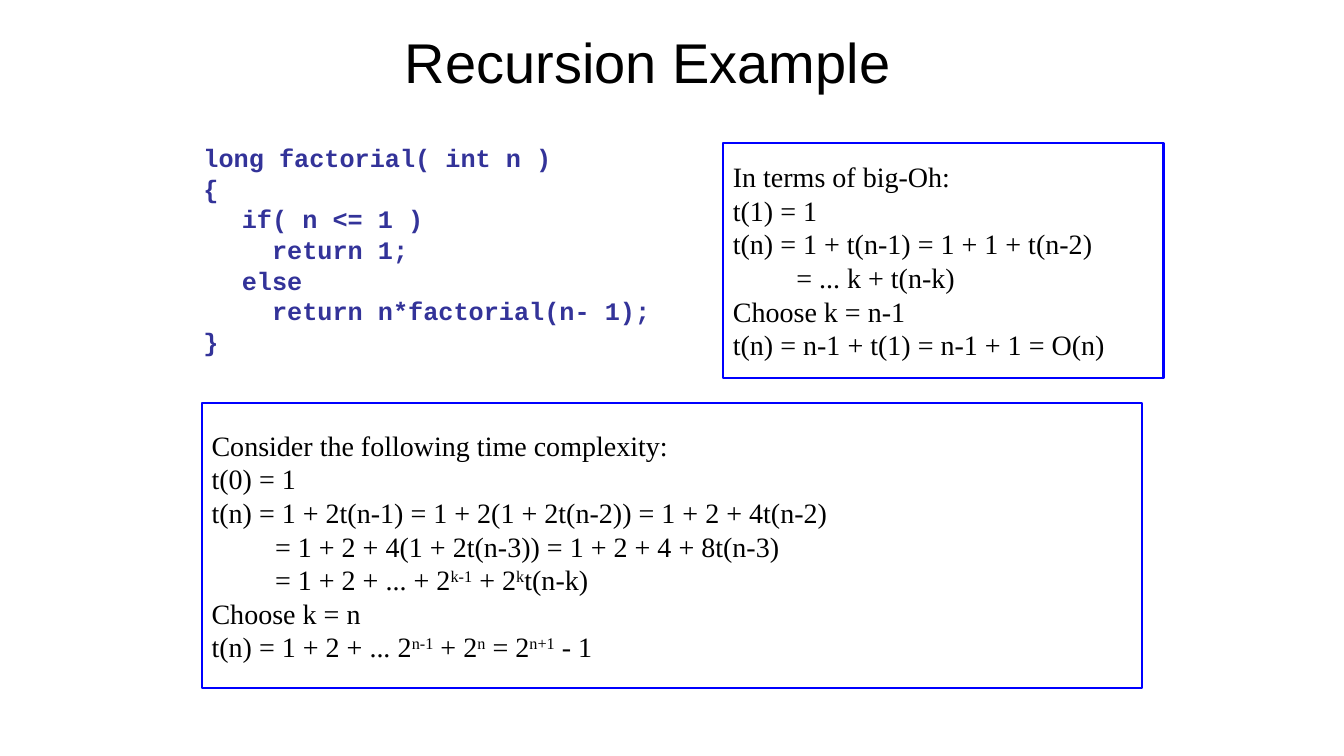
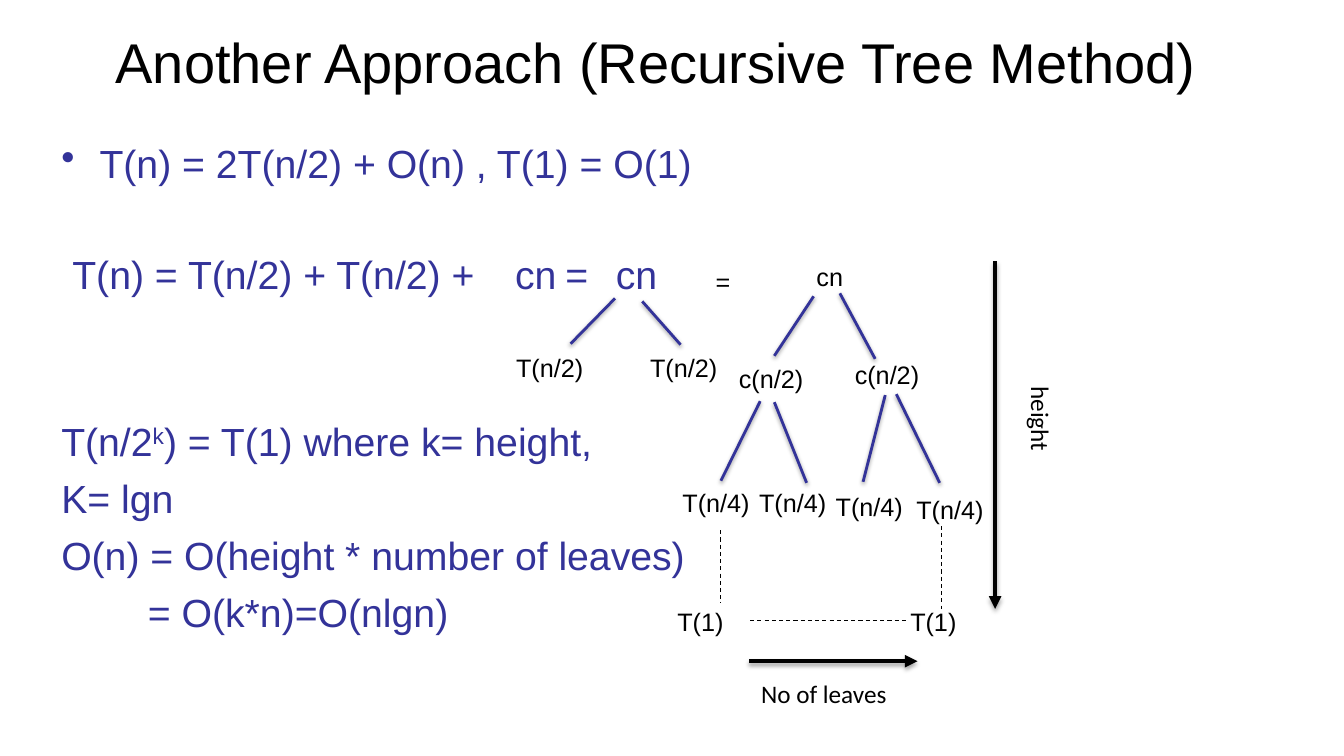
from dataclasses import dataclass

from lxml import etree
from pptx import Presentation
from pptx.dml.color import RGBColor
from pptx.enum import dml, shapes, text
from pptx.oxml import ns
from pptx.util import Inches, Pt

COLORS = {"ink": "000000", "indigo": "333399", "frame": "0000FF", "paper": "FFFFFF"}


@dataclass
class Style:
    """Type settings for a block of text."""
    font: str
    size: float
    color: str = "ink"
    bold: bool = False


@dataclass
class Line:
    """A paragraph: superscripts stand between carets."""
    text: str
    left: float = 0
    first: float = 0
    before: float = None
    bullet: str = None
    tabs: tuple = ()


TITLE = Style("Arial", 40)
CODE = Style("Courier New", 18, "indigo", True)
PROOF = Style("Times New Roman", 20)
BODY = Style("Arial", 28, "indigo")
NODE = Style("Arial", 18)
CAPTION = Style("Calibri", 18)

FACTORIAL = [
    Line("long factorial( int n )"),
    Line("{"),
    Line("if( n <= 1 )", 0.38),
    Line("  return 1;", 0.38),
    Line("else", 0.38),
    Line("  return n*factorial(n- 1);", 0.38),
    Line("}"),
]
LINEAR_PROOF = [
    Line("In terms of big-Oh:"),
    Line("t(1) = 1"),
    Line("t(n) = 1 + t(n-1) = 1 + 1 + t(n-2)"),
    Line("= ... k + t(n-k)", 0.63),
    Line("Choose k = n-1"),
    Line("t(n) = n-1 + t(1) = n-1 + 1 = O(n)"),
]
EXPONENTIAL_PROOF = [
    Line("Consider the following time complexity:"),
    Line("t(0) = 1"),
    Line("t(n) = 1 + 2t(n-1) = 1 + 2(1 + 2t(n-2)) = 1 + 2 + 4t(n-2)"),
    Line("= 1 + 2 + 4(1 + 2t(n-3)) = 1 + 2 + 4 + 8t(n-3)", 0.63),
    Line("= 1 + 2 + ... + 2^k-1^ + 2^k^t(n-k)", 0.63),
    Line("Choose k = n"),
    Line("t(n) = 1 + 2 + ... 2^n-1^ + 2^n^ = 2^n+1^ - 1"),
]
RECURRENCE = [
    Line("T(n) = 2T(n/2) + O(n) , T(1) = O(1)", 0.38, -0.38, bullet="•"),
    Line("T(n) = T(n/2) + T(n/2) +\tcn\t=\tcn", first=0.11, before=45.7,
         tabs=(4.31, 4.91, 5.47)),
    Line("T(n/2^k^) = T(1) where k= height,", before=85.7),
    Line("K= lgn"),
    Line("O(n) = O(height * number of leaves)"),
    Line("= O(k*n)=O(nlgn)", 0.86),
]

NODES = [
    ("T(n/2)", 0.02, 0.95), ("T(n/2)", 1.35, 0.95),
    ("=", 2, 0.09), ("cn", 3, 0.04),
    ("c(n/2)", 2.23, 1.06), ("c(n/2)", 3.38, 1.02),
    ("T(n/4)", 1.67, 2.29), ("T(n/4)", 2.43, 2.29),
    ("T(n/4)", 3.19, 2.33), ("T(n/4)", 3.99, 2.35),
    ("T(1)", 1.62, 3.47), ("T(1)", 3.93, 3.47),
]
BRANCHES = [
    (1.1, 0.46, 0.66, 0.91), (1.37, 0.49, 1.75, 0.92),
    (3.07, 0.44, 2.68, 1.03), (3.33, 0.41, 3.68, 1.06),
    (2.54, 1.48, 2.15, 2.27), (2.68, 1.49, 3, 2.29),
    (3.78, 1.42, 3.56, 2.28), (3.89, 1.41, 4.32, 2.29),
]
ELLIPSES = [(2.15, 2.76, 2.15, 3.48), (4.34, 2.72, 4.34, 3.54), (2.44, 3.66, 3.99, 3.66)]
ARROWS = [(4.87, 0.09, 4.87, 3.54), (2.43, 4.06, 4.1, 4.06)]
CAPTIONS = [("height", 4.69, 1.67, 1.27, 90), ("No of leaves", 2.45, 4.18, 1.62, 0)]


def rgb(name):
    """Return a named colour."""
    return RGBColor.from_string(COLORS[name])


def child(parent, tag, **attributes):
    """Append a drawing element to a parent."""
    element = etree.SubElement(parent, ns.qn(f"a:{tag}"))
    for name, value in attributes.items():
        element.set(name, str(value))
    return element


def format_paragraph(paragraph, line):
    """Set the indents, bullet and tab stops of a paragraph."""
    properties = paragraph._p.get_or_add_pPr()
    properties.set("marL", str(Inches(line.left)))
    properties.set("indent", str(Inches(line.first)))
    if line.bullet:
        child(properties, "buChar", char=line.bullet)
    if line.tabs:
        stops = child(properties, "tabLst")
        for position in line.tabs:
            child(stops, "tab", pos=Inches(position), algn="l")


def write(frame, lines, style, gap=0, spacing=None, align=text.PP_ALIGN.LEFT):
    """Fill a text frame with styled lines."""
    frame.word_wrap = True
    for index, line in enumerate(lines):
        paragraph = frame.paragraphs[0] if index == 0 else frame.add_paragraph()
        format_paragraph(paragraph, line)
        paragraph.alignment = align
        paragraph.line_spacing = spacing
        if index:
            paragraph.space_before = Pt(gap if line.before is None else line.before)
        for part, content in enumerate(line.text.split("^")):
            run = paragraph.add_run()
            run.text = content
            run.font.name = style.font
            run.font.size = Pt(style.size)
            run.font.bold = style.bold
            run.font.color.rgb = rgb(style.color)
            if part % 2:
                run._r.get_or_add_rPr().set("baseline", "30000")


def add_text(slide, box, lines, style, **options):
    """Add a text box and return it."""
    shape = slide.shapes.add_textbox(*map(Inches, box))
    write(shape.text_frame, lines, style, **options)
    return shape


def add_title(slide, title):
    """Add the centred slide title."""
    shape = add_text(slide, (0.5, 0.11, 12, 0.99), [Line(title)], TITLE,
                     align=text.PP_ALIGN.CENTER)
    shape.text_frame.vertical_anchor = text.MSO_ANCHOR.MIDDLE


def add_proof(slide, box, lines):
    """Add a framed derivation."""
    shape = slide.shapes.add_shape(shapes.MSO_SHAPE.RECTANGLE, *map(Inches, box))
    shape.shadow.inherit = False
    shape.fill.background()
    shape.line.color.rgb = rgb("frame")
    shape.line.width = Pt(1.5)
    shape.text_frame.vertical_anchor = text.MSO_ANCHOR.MIDDLE
    write(shape.text_frame, lines, PROOF)


def add_line(slide, origin, ends, color, width, dashed=False, arrow=False, shadow=None):
    """Add a straight line relative to an origin; shadow is (opacity, distance)."""
    left, top = origin
    x1, y1, x2, y2 = ends
    points = (left + x1, top + y1, left + x2, top + y2)
    connector = slide.shapes.add_connector(shapes.MSO_CONNECTOR.STRAIGHT,
                                           *map(Inches, points))
    connector.line.color.rgb = rgb(color)
    connector.line.width = Pt(width)
    if dashed:
        connector.line.dash_style = dml.MSO_LINE.DASH
    if arrow:
        child(connector.line._get_or_add_ln(), "tailEnd", type="triangle")
    effects = child(connector._element.spPr, "effectLst")
    if shadow:
        opacity, distance = shadow
        outer = child(effects, "outerShdw", blurRad=Pt(3.1), dist=Pt(distance),
                      dir=90 * 60000, rotWithShape=0)
        tint = child(outer, "srgbClr", val=COLORS["ink"])
        child(tint, "alpha", val=opacity * 1000)


def add_tree(slide, left, top):
    """Draw the recursion tree with its height and leaf arrows."""
    origin = (left, top)
    for ends in BRANCHES:
        add_line(slide, origin, ends, "indigo", 2, shadow=(38, 1.6))
    for ends in ELLIPSES:
        add_line(slide, origin, ends, "ink", 0.75, dashed=True)
    for ends in ARROWS:
        add_line(slide, origin, ends, "ink", 3, arrow=True, shadow=(35, 1.8))
    for label, x, y in NODES:
        add_text(slide, (left + x, top + y, 1.13, 0.4), [Line(label)], NODE)
    for label, x, y, width, angle in CAPTIONS:
        shape = add_text(slide, (left + x, top + y, width, 0.4), [Line(label)], CAPTION)
        shape.rotation = angle


def new_slide(presentation, title):
    """Add a blank slide with the shared background and title."""
    slide = presentation.slides.add_slide(presentation.slide_layouts[6])
    slide.background.fill.solid()
    slide.background.fill.fore_color.rgb = rgb("paper")
    add_title(slide, title)
    return slide


def build_example(presentation):
    """Build the factorial example slide."""
    slide = new_slide(presentation, "Recursion Example ")
    add_text(slide, (1.92, 1.42, 5.2, 2.58), FACTORIAL, CODE, gap=4.6, spacing=0.8)
    add_proof(slide, (7.17, 1.42, 4.37, 2.33), LINEAR_PROOF)
    add_proof(slide, (2, 4, 9.33, 2.83), EXPONENTIAL_PROOF)


def build_tree_method(presentation):
    """Build the recursive tree slide."""
    slide = new_slide(presentation, "Another Approach (Recursive Tree Method)")
    add_text(slide, (0.51, 1.33, 12, 5.55), RECURRENCE, BODY, gap=7.1)
    add_tree(slide, 5, 2.5)


def main():
    """Build and save the presentation."""
    presentation = Presentation()
    presentation.slide_width = Inches(13.33)
    presentation.slide_height = Inches(7.5)
    build_example(presentation)
    build_tree_method(presentation)
    presentation.save("out.pptx")


if __name__ == "__main__":
    main()
